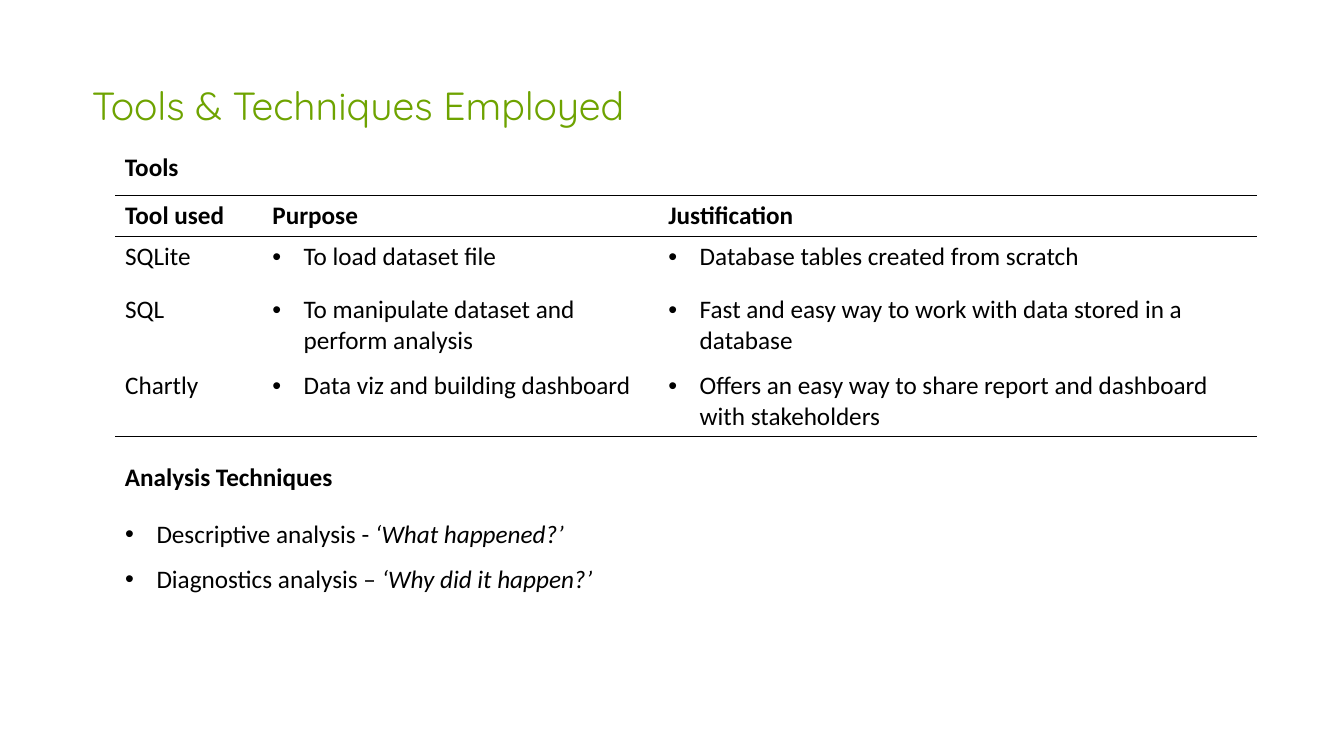
from dataclasses import dataclass

import pptx
import pptx.dml.color
import pptx.enum.text
import pptx.oxml.ns
import pptx.util
from lxml import etree

Cm = pptx.util.Cm
Pt = pptx.util.Pt
qn = pptx.oxml.ns.qn


@dataclass(frozen=True)
class Theme:
    green: str = "6EA300"
    black: str = "000000"
    head: str = "Quicksand"
    body: str = "Calibri"
    big: int = 28
    text: int = 18
    rule: int = 1
    plain: str = "{2D5ABB26-0587-4C30-8999-92F81FD0307C}"  # no style, no grid


@dataclass(frozen=True)
class Box:
    left: float
    top: float
    width: float
    height: float

    def frame(self) -> tuple:
        return Cm(self.left), Cm(self.top), Cm(self.width), Cm(self.height)


@dataclass(frozen=True)
class Tool:
    name: str
    purpose: str
    reason: str
    height: float


@dataclass(frozen=True)
class Method:
    name: str
    query: str


THEME = Theme()
LEFT = 2.9
INDENT = 0.79
COLS = (3.71, 9.98, 15.09)
HEAD = Tool("Tool used", "Purpose", "Justification", 1.02)
TOOLS = (
    Tool("SQLite", "To load dataset file", "Database tables created from scratch", 1.35),
    Tool("SQL", "To manipulate dataset and perform analysis",
         "Fast and easy way to work with data stored in a database", 1.91),
    Tool("Chartly", "Data viz and building dashboard",
         "Offers an easy way to share report and dashboard with stakeholders", 1.73),
)
METHODS = (
    Method("Descriptive analysis - ", "‘What happened?’"),
    Method("Diagnostics analysis – ", "‘Why did it happen?’"),
)


def write(para, text: str, *, font: str = THEME.body, size: int = THEME.text,
          color: str = THEME.black, bold: bool = False, italic: bool = False) -> None:
    run = para.add_run()
    run.text = text
    run.font.name = font
    run.font.size = Pt(size)
    run.font.color.rgb = pptx.dml.color.RGBColor.from_string(color)
    run.font.bold = bold
    run.font.italic = italic
    para.alignment = pptx.enum.text.PP_ALIGN.LEFT


def bullet(para) -> None:
    props = para._p.get_or_add_pPr()
    props.set("marL", str(Cm(INDENT)))
    props.set("indent", str(-Cm(INDENT)))
    etree.SubElement(props, qn("a:buFont"), typeface="Arial")
    etree.SubElement(props, qn("a:buChar"), char="•")


def place(shape, box: Box):
    shape.left, shape.top, shape.width, shape.height = box.frame()
    frame = shape.text_frame
    frame.word_wrap = False
    frame.auto_size = pptx.enum.text.MSO_AUTO_SIZE.SHAPE_TO_FIT_TEXT
    frame.vertical_anchor = pptx.enum.text.MSO_ANCHOR.TOP
    return frame


def label(slide, text: str, box: Box) -> None:
    frame = place(slide.shapes.add_textbox(*box.frame()), box)
    write(frame.paragraphs[0], text, bold=True)


def edge(cell, side: str) -> None:
    props = cell._tc.get_or_add_tcPr()
    line = etree.SubElement(props, qn(f"a:ln{side}"), w=str(Pt(THEME.rule)))
    fill = etree.SubElement(line, qn("a:solidFill"))
    etree.SubElement(fill, qn("a:srgbClr"), val=THEME.black)


def grid(slide, top: float) -> None:
    rows = (HEAD, *TOOLS)
    box = Box(LEFT, top, sum(COLS), sum(row.height for row in rows))
    shape = slide.shapes.add_table(len(rows), len(COLS), *box.frame())
    table = shape.table
    table.first_row = table.horz_banding = False
    next(shape.element.iter(qn("a:tableStyleId"))).text = THEME.plain
    for col, width in zip(table.columns, COLS):
        col.width = Cm(width)
    for r, row in enumerate(rows):
        table.rows[r].height = Cm(row.height)
        for c, text in enumerate((row.name, row.purpose, row.reason)):
            cell = table.cell(r, c)
            sides = "TB" if row is HEAD else "B" if row is rows[-1] else ""
            for side in sides:
                edge(cell, side)
            cell.fill.background()
            para = cell.text_frame.paragraphs[0]
            write(para, text, bold=row is HEAD)
            if row is not HEAD and c > 0:
                bullet(para)


def main() -> None:
    deck = pptx.Presentation()
    deck.slide_width, deck.slide_height = Cm(33.87), Cm(19.05)
    slide = deck.slides.add_slide(deck.slide_layouts[1])

    # Title
    title = place(slide.shapes.title, Box(2.06, 1.93, 14.91, 1.45))
    write(title.paragraphs[0], "Tools & Techniques Employed",
          font=THEME.head, size=THEME.big, color=THEME.green)

    # Tools
    label(slide, "Tools", Box(LEFT, 3.68, 1.88, 1.02))
    grid(slide, 4.93)

    # Analysis techniques
    label(slide, "Analysis Techniques", Box(LEFT, 11.51, 5.77, 1.02))
    body = place(slide.placeholders[1], Box(LEFT, 12.55, 12.57, 2.44))
    for n, method in enumerate(METHODS):
        para = body.add_paragraph() if n else body.paragraphs[0]
        para.line_spacing = 1.5
        para.space_before = Pt(0)
        write(para, method.name)
        write(para, method.query, italic=True)
        bullet(para)

    deck.save("out.pptx")


if __name__ == "__main__":
    main()
